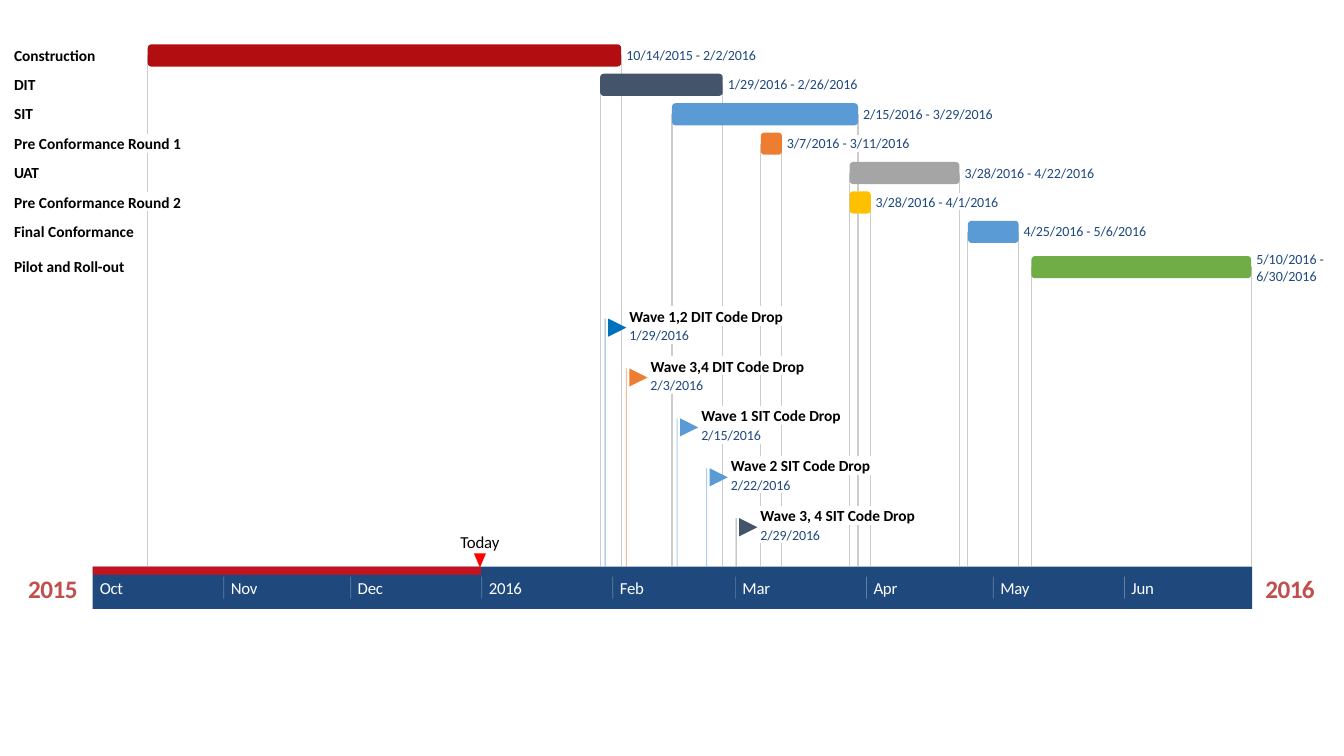
from dataclasses import dataclass

from lxml import etree
from pptx import Presentation
from pptx.dml.color import RGBColor
from pptx.enum.shapes import MSO_CONNECTOR, MSO_SHAPE
from pptx.enum.text import MSO_ANCHOR, PP_ALIGN
from pptx.oxml.ns import qn
from pptx.util import Inches, Pt

STRAIGHT = MSO_CONNECTOR.STRAIGHT
RECT = MSO_SHAPE.RECTANGLE
ROUNDED = MSO_SHAPE.ROUNDED_RECTANGLE
TRIANGLE = MSO_SHAPE.ISOSCELES_TRIANGLE
FLAG = MSO_SHAPE.FLOWCHART_MERGE
LEFT, CENTER = PP_ALIGN.LEFT, PP_ALIGN.CENTER
MIDDLE = MSO_ANCHOR.MIDDLE

MONTHS = {"Oct": 31, "Nov": 30, "Dec": 31, "2016": 31, "Feb": 29,
          "Mar": 31, "Apr": 30, "May": 31, "Jun": 30}
FIRST_MONTH = 10
AXIS_LEFT, AXIS_TOP, AXIS_WIDTH, AXIS_HEIGHT = 0.92, 5.62, 11.5, 0.42
DAY_WIDTH = 11.49 / sum(MONTHS.values())
TODAY_X = 4.76
BAR_HEIGHT, TASK_TOP, TASK_PITCH = 0.22, 0.44, 1.75 / 6
LAST_TASK_TOP = 2.54
FLAG_SIZE, MILESTONE_TOP, MILESTONE_PITCH = 0.18, 3.04, 1.98 / 4
TITLE_HEIGHT, DATE_HEIGHT = 0.19, 0.17
BLACK, WHITE, DATE_BLUE = "000000", "FFFFFF", "1F497E"

# Name, start, end, colour, name width, letter spacing
TASKS = [
    ("Construction", "10/14/2015", "2/2/2016", "B20E12", 0.9, -0.05),
    ("DIT", "1/29/2016", "2/26/2016", "44546A", 0.3, -0.05),
    ("SIT", "2/15/2016", "3/29/2016", "5B9BD5", 0.3, -0.05),
    ("Pre Conformance Round 1", "3/7/2016", "3/11/2016", "ED7D31", 1.75, 0),
    ("UAT", "3/28/2016", "4/22/2016", "A5A5A5", 0.35, -0.2),
    ("Pre Conformance Round 2", "3/28/2016", "4/1/2016", "FFC000", 1.75, 0),
    ("Final Conformance", "4/25/2016", "5/6/2016", "5B9BD5", 1.3, 0),
    ("Pilot and Roll-out", "5/10/2016", "6/30/2016", "70AD47", 1.2, -0.05),
]
# Name, date, colour, name width
MILESTONES = [
    ("Wave 1,2 DIT Code Drop", "1/29/2016", "0072BC", 1.55),
    ("Wave 3,4 DIT Code Drop", "2/3/2016", "ED7D31", 1.55),
    ("Wave 1 SIT Code Drop", "2/15/2016", "5B9BD5", 1.41),
    ("Wave 2 SIT Code Drop", "2/22/2016", "5B9BD5", 1.41),
    ("Wave 3, 4 SIT Code Drop", "2/29/2016", "44546A", 1.57),
]


@dataclass
class Bar:
    left: float
    top: float
    width: float
    color: str
    height: float = BAR_HEIGHT


@dataclass
class Label:
    text: str
    left: float
    top: float
    width: float
    height: float
    size: float
    color: str
    bold: bool = False
    spacing: float = -0.05
    align: PP_ALIGN = LEFT
    wrap: bool = False


def date_x(date, extra_days=0):
    """Place of a month/day/year date on the time axis."""
    month, day, _ = map(int, date.split("/"))
    days_before = sum(list(MONTHS.values())[:(month - FIRST_MONTH) % 12])
    return AXIS_LEFT + (days_before + day - 1 + extra_days) * DAY_WIDTH


def set_color(fill, color, opacity=100):
    fill.solid()
    fill.fore_color.rgb = RGBColor.from_string(color)
    if opacity < 100:
        tone = fill._xPr.find(".//" + qn("a:srgbClr"))
        etree.SubElement(tone, qn("a:alpha"), val=str(opacity * 1000))


def add_line(slide, x, top, bottom, color, width=0.75, opacity=100):
    line = slide.shapes.add_connector(
        STRAIGHT, Inches(x), Inches(top), Inches(x), Inches(bottom))
    set_color(line.line.fill, color, opacity)
    line.line.width = Pt(width)
    etree.SubElement(line._element.spPr, qn("a:effectLst"))


def add_block(slide, kind, left, top, width, height, color, opacity=100):
    block = slide.shapes.add_shape(
        kind, Inches(left), Inches(top), Inches(width), Inches(height))
    block.shadow.inherit = False
    block.line.fill.background()
    set_color(block.fill, color, opacity)
    return block


def add_label(slide, label):
    frame = slide.shapes.add_textbox(
        Inches(label.left), Inches(label.top),
        Inches(label.width), Inches(label.height)).text_frame
    frame.margin_left = frame.margin_right = 0
    frame.margin_top = frame.margin_bottom = 0
    frame.vertical_anchor = MIDDLE
    frame.word_wrap = label.wrap
    paragraph = frame.paragraphs[0]
    paragraph.alignment = label.align
    run = paragraph.add_run()
    run.text = label.text
    run._r.get_or_add_rPr().set("spc", str(round(label.spacing * 100)))
    font = paragraph.font
    font.name, font.size, font.bold = "Calibri", Pt(label.size), label.bold
    font.color.rgb = RGBColor.from_string(label.color)


def lay_out_tasks():
    bars, labels = [], []
    for row, (name, start, end, color, width, spacing) in enumerate(TASKS):
        last = row == len(TASKS) - 1
        top = LAST_TASK_TOP if last else TASK_TOP + row * TASK_PITCH
        left, right = date_x(start), date_x(end, 1)
        bars.append(Bar(left, top, right - left, color))
        labels.append(Label(name, 0.14, top + 0.01, width, TITLE_HEIGHT, 11,
                            BLACK, True, spacing))
        dates = f"{start} - {end}"
        if last:
            labels.append(Label(dates, right + 0.05, top - 0.06, 0.71,
                                2 * DATE_HEIGHT, 10, DATE_BLUE, spacing=0, wrap=True))
        else:
            dates_width = 1.32 if len(dates) > 20 else 1.24
            labels.append(Label(dates, right + 0.05, top + 0.02, dates_width,
                                DATE_HEIGHT, 10, DATE_BLUE))
    return bars, labels


def lay_out_milestones():
    labels = []
    for row, (name, date, _, width) in enumerate(MILESTONES):
        left, top = date_x(date) + 0.29, MILESTONE_TOP + row * MILESTONE_PITCH
        date_width = 0.61 if len(date) > 8 else 0.54
        labels.append(Label(name, left, top, width, TITLE_HEIGHT, 11, BLACK, True))
        labels.append(Label(date, left, top + 0.2, date_width, DATE_HEIGHT, 10, DATE_BLUE))
    return labels


def add_guide(slide, x, top, obstacles):
    """Drop a line to the axis, broken wherever a bar or label is crossed."""
    crossed = [(o.top, o.top + o.height) for o in obstacles
               if o.left + 0.001 < x < o.left + o.width - 0.001 and o.top > top]
    for gap_top, gap_bottom in sorted(crossed) + [(AXIS_TOP, AXIS_TOP)]:
        if gap_top - top > 0.03:
            add_line(slide, x, top, gap_top, "CCCCCC")
        top = gap_bottom


def add_axis(slide):
    for year, left in (("2015", 0.28), ("2016", 12.55)):
        add_label(slide, Label(year, left, 5.68, 0.49, 0.31, 18, "C0504D",
                               True, -0.4, CENTER))
    add_block(slide, RECT, AXIS_LEFT, AXIS_TOP, AXIS_WIDTH, AXIS_HEIGHT, "1F497D")
    add_block(slide, RECT, AXIS_LEFT, AXIS_TOP, 3.85, 0.08, "FF0000", 75)
    marker = add_block(slide, TRIANGLE, TODAY_X - 0.06, 5.49, 0.12, 0.14, "FF0000")
    marker._element.spPr.xfrm.set("flipV", "1")
    add_label(slide, Label("Today", TODAY_X - 0.2, 5.28, 0.4, 0.2, 12, BLACK,
                           spacing=-0.1, align=CENTER))
    x = AXIS_LEFT
    for month, days in MONTHS.items():
        if x > AXIS_LEFT:
            add_line(slide, x, 5.72, 5.94, WHITE, 0.5, 30)
        add_label(slide, Label(month, x + 0.07, 5.73, 0.45, 0.2, 12, WHITE, spacing=-0.2))
        x += days * DAY_WIDTH


def main():
    deck = Presentation()
    deck.slide_width, deck.slide_height = Inches(13.33), Inches(7.5)
    slide = deck.slides.add_slide(deck.slide_layouts[6])

    bars, task_labels = lay_out_tasks()
    labels = lay_out_milestones() + task_labels
    guide_tops = {}
    for bar in bars:
        for x in (bar.left, bar.left + bar.width):
            guide_tops.setdefault(round(x, 3), bar.top + bar.height / 2)
    for x, top in guide_tops.items():
        add_guide(slide, x, top, bars + labels)
    flag_tops = [MILESTONE_TOP + 0.12 + row * MILESTONE_PITCH
                 for row in range(len(MILESTONES))]
    for (_, date, color, _), top in zip(MILESTONES, flag_tops):
        add_line(slide, date_x(date) + 0.05, top, AXIS_TOP, color, opacity=50)
    add_axis(slide)
    for (_, date, color, _), top in zip(MILESTONES, flag_tops):
        flag = add_block(slide, FLAG, date_x(date) + 0.08, top, FLAG_SIZE, FLAG_SIZE, color)
        flag.rotation = 270
    for bar in bars:
        add_block(slide, ROUNDED, bar.left, bar.top, bar.width, bar.height, bar.color)
    for label in labels:
        add_label(slide, label)
    deck.save("out.pptx")


if __name__ == "__main__":
    main()
